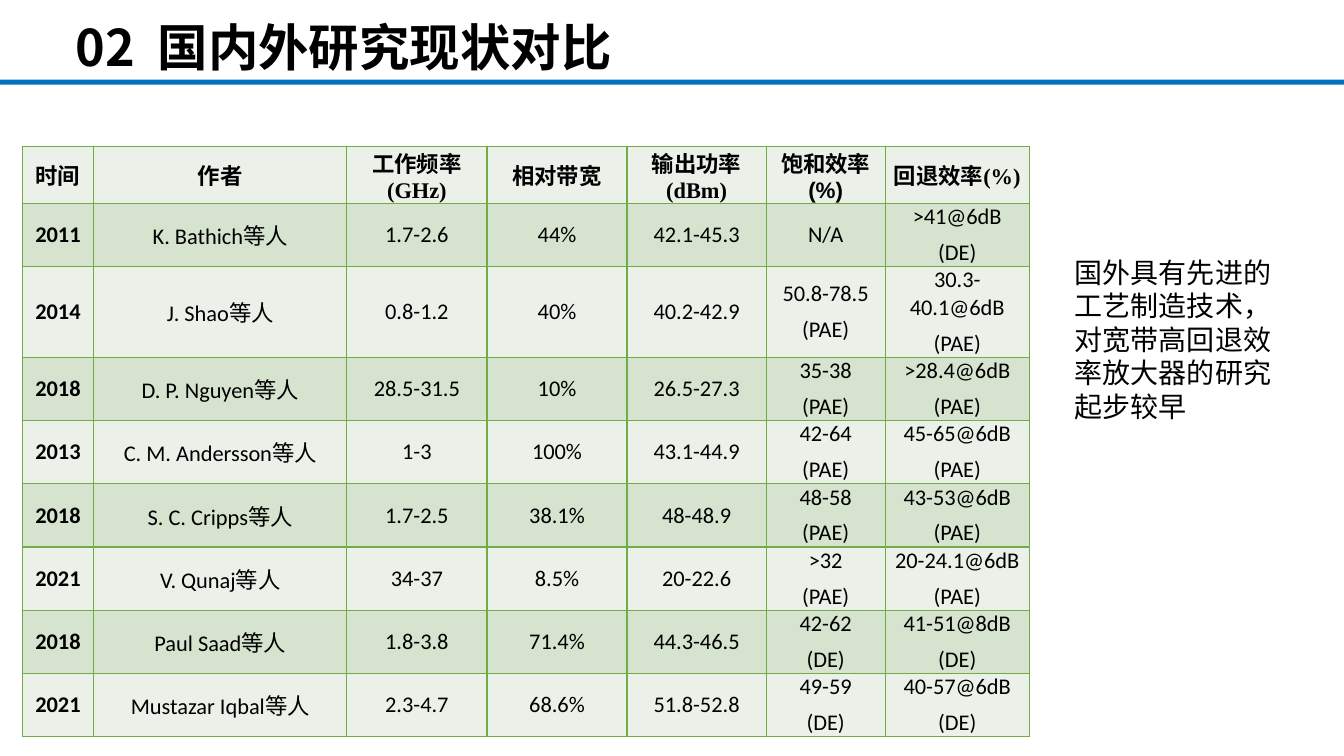
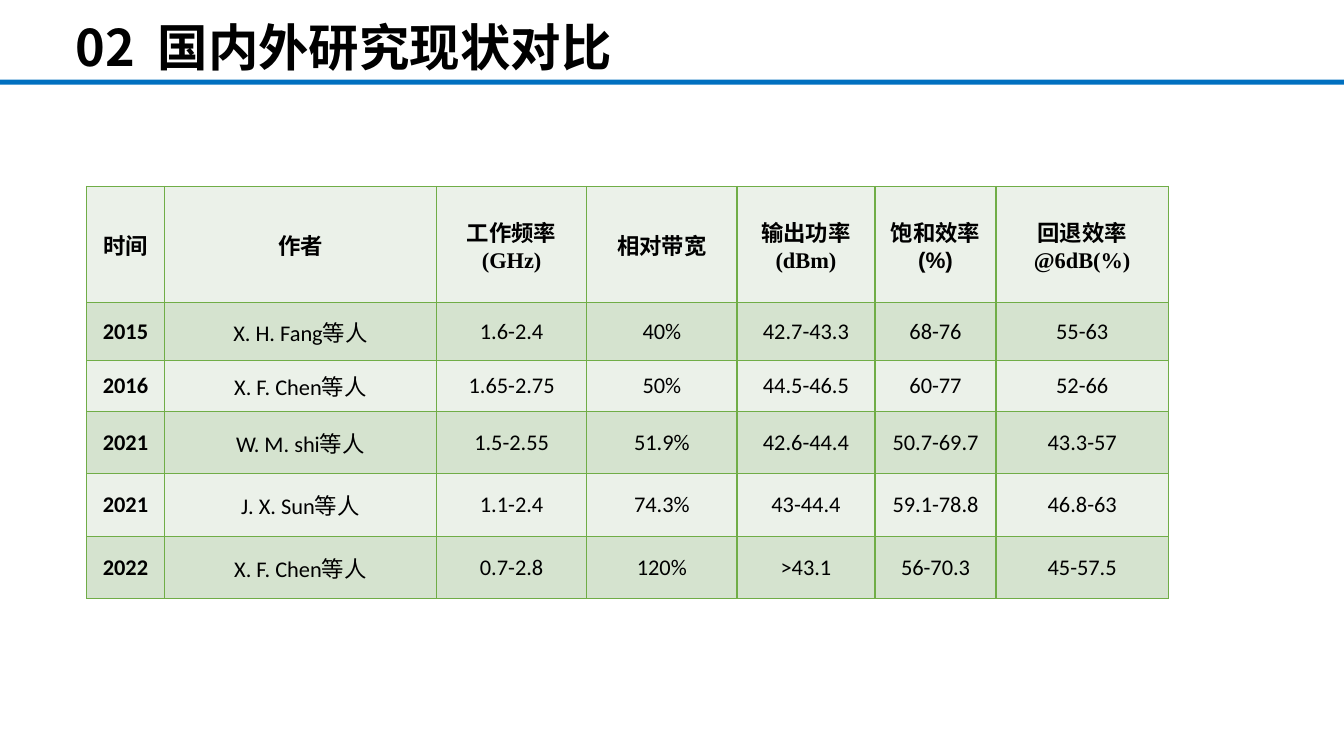
"""Build two slides comparing wideband power amplifier research."""
from dataclasses import dataclass

from lxml import etree
from pptx import Presentation
from pptx import util as u
from pptx.dml.color import RGBColor
from pptx.enum import shapes, text
from pptx.oxml.ns import qn

BLACK = RGBColor(0x00, 0x00, 0x00)
BLUE = RGBColor(0x00, 0x70, 0xC0)
GREEN = RGBColor(0x70, 0xAD, 0x47)
PALE = RGBColor(0xEB, 0xF1, 0xE9)
TINT = RGBColor(0xD5, 0xE3, 0xCF)
CJK = "Noto Sans CJK SC"
SERIF = "Times New Roman"
SANS = "Arial"
BODY = "Calibri"
HEAD_FONTS = (SERIF, SERIF, SERIF, SANS, SERIF, SANS, SERIF)
HEADS = ("时间", "作者", "工作频率(GHz)", "相对带宽", "输出功率(dBm)", "饱和效率(%)")


@dataclass(frozen=True)
class Study:
    year: str
    author: str
    band: str
    width: str
    power: str
    peak: str
    backoff: str

    def cells(self) -> tuple[str, ...]:
        return (self.year, f"{self.author}等人", self.band, self.width,
                self.power, self.peak, self.backoff)


@dataclass(frozen=True)
class Comparison:
    left: float
    top: float
    cols: tuple[float, ...]
    rows: tuple[float, ...]
    last_head: str
    studies: tuple[Study, ...]


FOREIGN = Comparison(
    0.22, 1.45,
    (0.71, 2.51, 1.39, 1.39, 1.38, 1.18, 1.43),
    (0.56, 0.62, 0.9) + (0.62,) * 6,
    "回退效率(%)",
    (
        Study("2011", "K. Bathich", "1.7-2.6", "44%", "42.1-45.3", "N/A", ">41@6dB\n(DE)"),
        Study("2014", "J. Shao", "0.8-1.2", "40%", "40.2-42.9", "50.8-78.5\n(PAE)", "30.3-40.1@6dB\n(PAE)"),
        Study("2018", "D. P. Nguyen", "28.5-31.5", "10%", "26.5-27.3", "35-38\n(PAE)", ">28.4@6dB\n(PAE)"),
        Study("2013", "C. M. Andersson", "1-3", "100%", "43.1-44.9", "42-64\n(PAE)", "45-65@6dB\n(PAE)"),
        Study("2018", "S. C. Cripps", "1.7-2.5", "38.1%", "48-48.9", "48-58\n(PAE)", "43-53@6dB\n(PAE)"),
        Study("2021", "V. Qunaj", "34-37", "8.5%", "20-22.6", ">32\n(PAE)", "20-24.1@6dB\n(PAE)"),
        Study("2018", "Paul Saad", "1.8-3.8", "71.4%", "44.3-46.5", "42-62\n(DE)", "41-51@8dB\n(DE)"),
        Study("2021", "Mustazar Iqbal", "2.3-4.7", "68.6%", "51.8-52.8", "49-59\n(DE)", "40-57@6dB\n(DE)"),
    ),
)
DOMESTIC = Comparison(
    0.86, 1.85,
    (0.77, 2.7, 1.49, 1.49, 1.37, 1.2, 1.71),
    (1.15, 0.58, 0.5, 0.62, 0.62, 0.62),
    "回退效率@6dB(%)",
    (
        Study("2015", "X. H. Fang", "1.6-2.4", "40%", "42.7-43.3", "68-76", "55-63"),
        Study("2016", "X. F. Chen", "1.65-2.75", "50%", "44.5-46.5", "60-77", "52-66"),
        Study("2021", "W. M. shi", "1.5-2.55", "51.9%", "42.6-44.4", "50.7-69.7", "43.3-57"),
        Study("2021", "J. X. Sun", "1.1-2.4", "74.3%", "43-44.4", "59.1-78.8", "46.8-63"),
        Study("2022", "X. F. Chen", "0.7-2.8", "120%", ">43.1", "56-70.3", "45-57.5"),
    ),
)


def style(p, font: str, size: float, bold: bool, align) -> None:
    p.alignment = align
    p.font.name = font
    p.font.size = u.Pt(size)
    p.font.bold = bold
    p.font.color.rgb = BLACK
    props = p._p.get_or_add_pPr().find(qn("a:defRPr"))
    etree.SubElement(props, qn("a:ea")).set("typeface", CJK)


def fill_placeholder(sp, box: tuple[float, ...], parts: tuple[str, ...],
                     size: float, leading: float, bold: bool = False):
    sp.left, sp.top, sp.width, sp.height = map(u.Inches, box)
    tf = sp.text_frame
    tf.word_wrap = True
    tf.auto_size = text.MSO_AUTO_SIZE.NONE
    tf.vertical_anchor = text.MSO_ANCHOR.TOP
    tf.margin_top = u.Inches(0.09)
    p = tf.paragraphs[0]
    for part in parts:
        p.add_run().text = part
    style(p, CJK, size, bold, text.PP_ALIGN.LEFT)
    p.space_before = u.Pt(0)
    p.line_spacing = u.Pt(leading)
    return p


def add_title(s) -> None:
    p = fill_placeholder(s.shapes.title, (0.65, 0.07, 9.05, 0.71),
                         ("02", " ", "国内外研究现状对比"), 36, 43, True)
    p.runs[1]._r.get_or_add_rPr().set("spc", "800")


def add_note(s, note: str) -> None:
    p = fill_placeholder(s.placeholders[1], (10.56, 2.44, 2.38, 1.78), (note,), 20, 24)
    props = p._p.get_or_add_pPr()
    props.set("marL", "0")
    props.set("indent", "0")
    props.find(qn("a:defRPr")).addprevious(etree.Element(qn("a:buNone")))


def add_master_band(prs, s) -> None:
    sp = s.shapes.add_shape(shapes.MSO_SHAPE.RECTANGLE, 0, u.Inches(0.79),
                            prs.slide_width, u.Inches(0.05))
    sp.shadow.inherit = False
    sp.fill.solid()
    sp.fill.fore_color.rgb = BLUE
    sp.line.fill.background()
    prs.slide_master.shapes._spTree.append(sp._element)


def set_borders(cell) -> None:
    props = cell._tc.get_or_add_tcPr()
    for side in ("lnL", "lnR", "lnT", "lnB"):
        line = etree.SubElement(props, qn(f"a:{side}"), w=str(u.Pt(1)))
        fill = etree.SubElement(line, qn("a:solidFill"))
        etree.SubElement(fill, qn("a:srgbClr"), val=str(GREEN))


def format_cell(cell, value: str, row: int, col: int) -> None:
    cell.text = value
    cell.vertical_anchor = text.MSO_ANCHOR.MIDDLE
    cell.margin_left = cell.margin_right = u.Pt(5.4)
    cell.margin_top = cell.margin_bottom = 0
    set_borders(cell)
    cell.fill.solid()
    cell.fill.fore_color.rgb = TINT if row % 2 else PALE
    for p in cell.text_frame.paragraphs:
        font = BODY if row else HEAD_FONTS[col]
        style(p, font, 16, row == 0 or col == 0, text.PP_ALIGN.CENTER)
        if row:
            p.space_before = p.space_after = u.Pt(3)


def add_comparison(s, data: Comparison) -> None:
    frame = s.shapes.add_table(
        len(data.rows), len(data.cols), u.Inches(data.left), u.Inches(data.top),
        u.Inches(sum(data.cols)), u.Inches(sum(data.rows)))
    table = frame.table
    table.first_row = table.horz_banding = False
    for column, width in zip(table.columns, data.cols):
        column.width = u.Inches(width)
    for row, height in zip(table.rows, data.rows):
        row.height = u.Inches(height)
    grid = [(*HEADS, data.last_head), *(study.cells() for study in data.studies)]
    for i, values in enumerate(grid):
        for j, value in enumerate(values):
            format_cell(table.cell(i, j), value, i, j)


def main() -> None:
    prs = Presentation()
    prs.slide_width, prs.slide_height = u.Inches(13.33), u.Inches(7.5)
    foreign = prs.slides.add_slide(prs.slide_layouts[1])
    domestic = prs.slides.add_slide(prs.slide_layouts[5])
    add_master_band(prs, foreign)
    for s, data in ((foreign, FOREIGN), (domestic, DOMESTIC)):
        add_title(s)
        add_comparison(s, data)
    add_note(foreign, "国外具有先进的工艺制造技术，对宽带高回退效率放大器的研究起步较早")
    prs.save("out.pptx")


if __name__ == "__main__":
    main()
